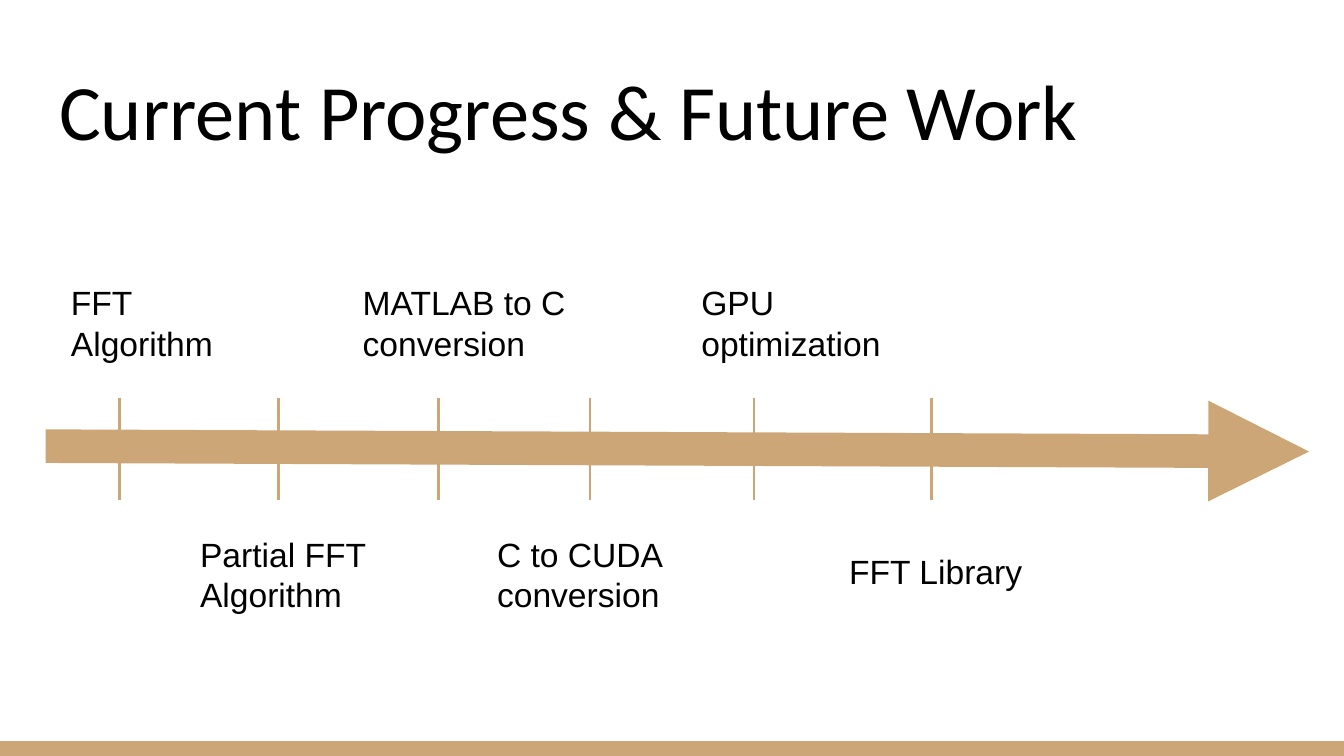
from lxml import etree
from pptx import Presentation
from pptx.dml.color import RGBColor
from pptx.enum.shapes import MSO_CONNECTOR, MSO_SHAPE
from pptx.enum.text import MSO_ANCHOR, MSO_AUTO_SIZE, PP_ALIGN
from pptx.oxml.ns import qn
from pptx.util import Inches, Pt

LINE = MSO_CONNECTOR.STRAIGHT
RECT = MSO_SHAPE.RECTANGLE
LEFT = PP_ALIGN.LEFT
TOP, BOTTOM = MSO_ANCHOR.TOP, MSO_ANCHOR.BOTTOM
FIXED = MSO_AUTO_SIZE.NONE

WIDE = 10
HIGH = WIDE * 9 / 16
EDGE = 0.34
COLORS = {"text": "000000", "tan": "CCA677"}
FRAME = {"word_wrap": True, "auto_size": FIXED}
FRAME.update(dict.fromkeys(
    ("margin_left", "margin_right", "margin_top", "margin_bottom"), Inches(0.1)))
HEAD = {"name": "Calibri", "size": Pt(42)}
BODY = {"name": "Arial", "size": Pt(18)}
ABOVE, BELOW = 2, 3.87
STEPS = [
    (0.89, 0.43, ABOVE, 1.53, ["FFT Algorithm"]),
    (2.07, 1.39, BELOW, 1.71, ["Partial FFT", "Algorithm"]),
    (3.26, 2.6, ABOVE, 1.71, ["MATLAB to C conversion"]),
    (4.39, 3.6, BELOW, 1.71, ["C to CUDA conversion"]),
    (5.61, 5.12, ABOVE, 1.71, ["GPU optimization"]),
    (6.93, 6.22, 4, 1.71, ["FFT Library"]),
]


def color(name):
    return RGBColor.from_string(COLORS[name])


def apply(item, values):
    for name, value in values.items():
        setattr(item, name, value)


def write(shape, lines, font, anchor):
    frame = shape.text_frame
    frame.text = "\n".join(lines)
    apply(frame, {**FRAME, "vertical_anchor": anchor})
    for para in frame.paragraphs:
        para.alignment = LEFT
        for run in para.runs:
            apply(run.font, font)
            run.font.color.rgb = color("text")


def add_title(slide, text):
    title = slide.shapes.title
    apply(title, {"left": Inches(EDGE), "top": Inches(0.35),
                  "width": Inches(WIDE - 2 * EDGE), "height": Inches(0.91)})
    write(title, [text], HEAD, BOTTOM)


def add_band(slide):
    high = 0.11
    band = slide.shapes.add_shape(
        RECT, 0, Inches(HIGH - high), Inches(WIDE), Inches(high))
    band.shadow.inherit = False
    band.fill.solid()
    band.fill.fore_color.rgb = color("tan")
    band.line.fill.background()


def add_label(slide, left, top, width, lines):
    box = slide.shapes.add_textbox(*map(Inches, (left, top, width, 0.81)))
    write(box, lines, BODY, TOP)


def add_line(slide, start, end, weight, arrow=False):
    line = slide.shapes.add_connector(LINE, *map(Inches, (*start, *end)))
    line.line.color.rgb = color("tan")
    line.line.width = Pt(weight)
    props = line._element.spPr
    if arrow:
        etree.SubElement(props.find(qn("a:ln")), qn("a:tailEnd"), type="triangle")
    etree.SubElement(props, qn("a:effectLst"))


def main():
    deck = Presentation()
    apply(deck, {"slide_width": Inches(WIDE), "slide_height": Inches(HIGH)})
    slide = deck.slides.add_slide(deck.slide_layouts[5])
    add_band(slide)
    add_title(slide, "Current Progress & Future Work")
    add_line(slide, (EDGE, 3.32), (9.74, 3.36), 18, arrow=True)
    for tick, *label in STEPS:
        add_label(slide, *label)
        add_line(slide, (tick, 2.96), (tick, 3.72), 1.5)
    deck.save("out.pptx")


if __name__ == "__main__":
    main()
